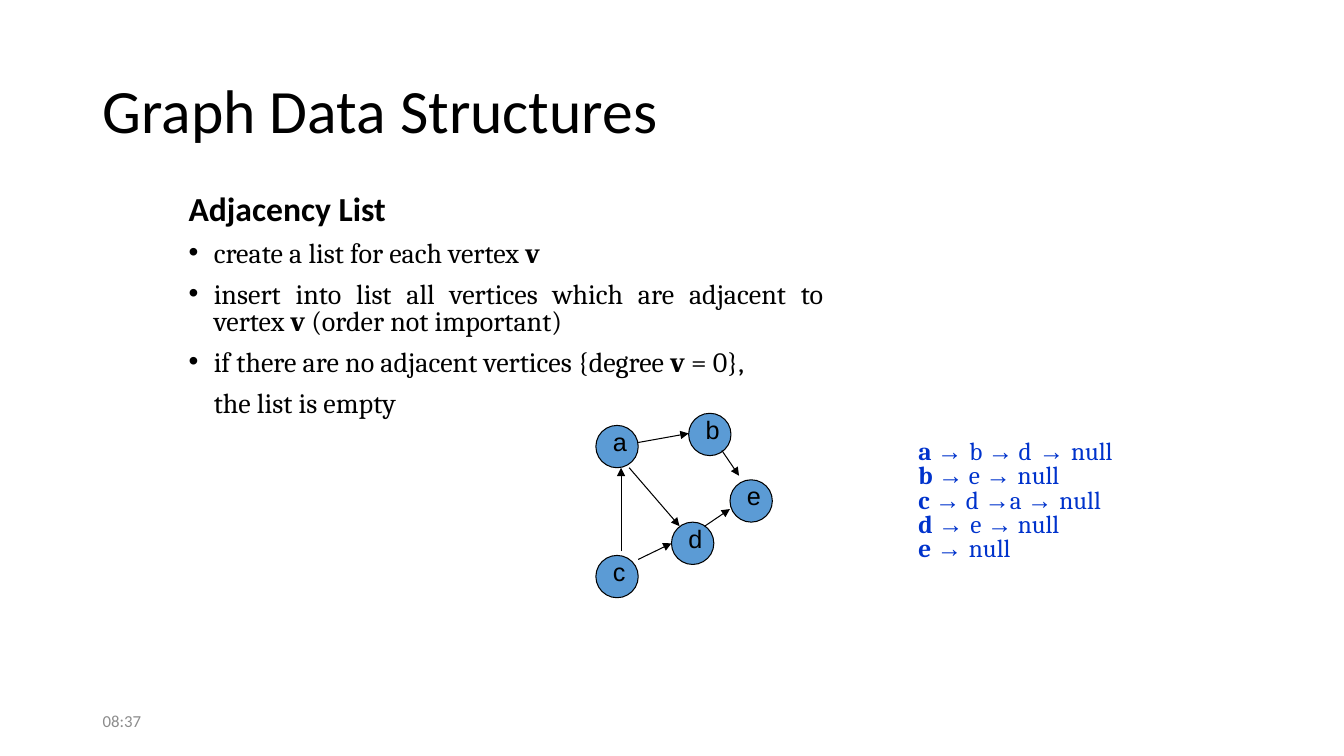
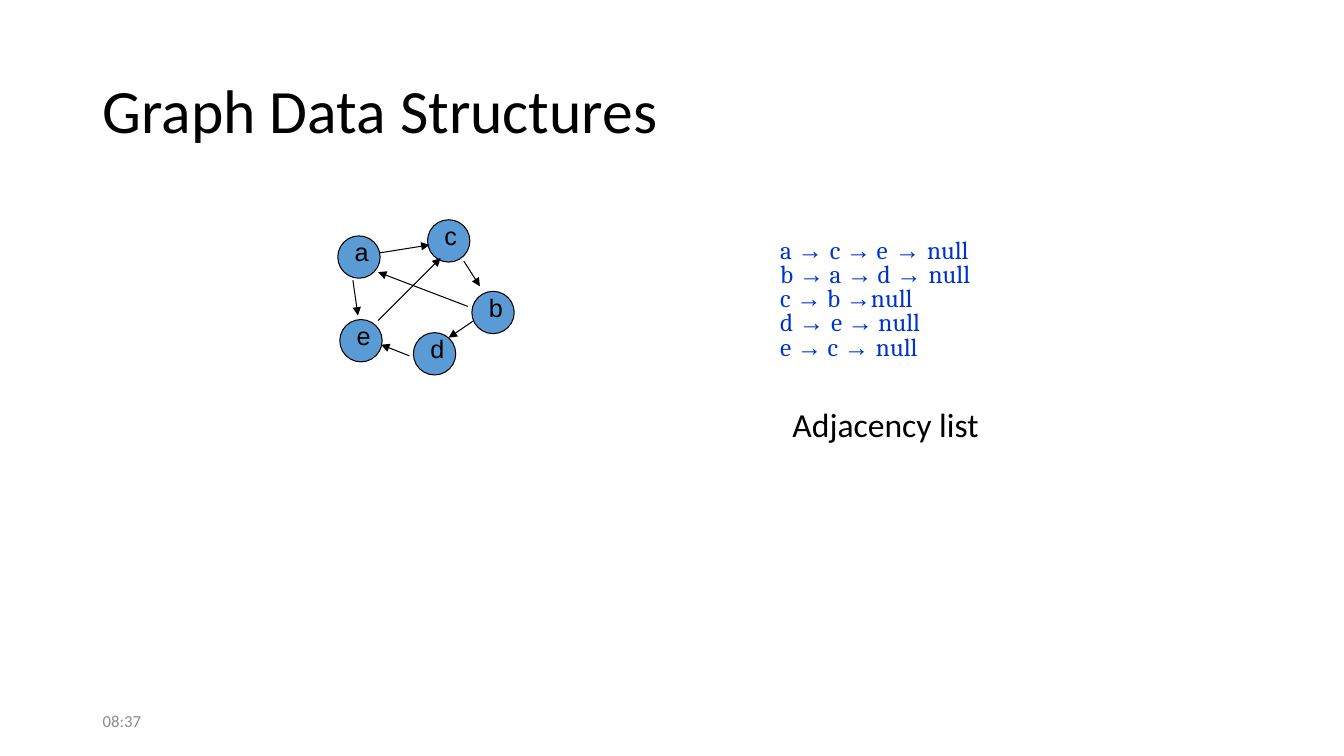
from lxml import etree
from pptx import Presentation
from pptx.dml.color import RGBColor
from pptx.enum.shapes import MSO_CONNECTOR, MSO_SHAPE
from pptx.enum.text import MSO_ANCHOR, MSO_AUTO_SIZE, PP_ALIGN
from pptx.oxml.ns import qn
from pptx.util import Inches, Pt

# Shared look
COLORS = {"text": "000000", "node": "5B9BD5", "list": "0033CC", "footer": "8C8C8C"}
TITLE = {"name": "Calibri", "size": Pt(44), "color": "text"}
HEADING = {"name": "Calibri", "size": Pt(24), "color": "text"}
BODY = {"name": "Cambria", "size": Pt(20), "color": "text"}
LABEL = {"name": "Arial", "size": Pt(18), "color": "text"}
LIST = {"name": "Cambria", "size": Pt(18), "color": "list"}
FOOTER = {"name": "Calibri", "size": Pt(12), "color": "footer"}
NODE_SIZE = 0.42

# Content: "|" separates runs, nodes give left and top, edges give start and end
BULLETS = [
    "create a list for each vertex |v",
    "insert into list all vertices which are adjacent to vertex |v| (order not important)",
    "if there are no adjacent vertices {degree |v| = 0}, ",
]
FIRST_NODES = {"a": (5.91, 4.22), "b": (6.83, 4.1), "c": (5.91, 5.51),
               "e": (7.24, 4.76), "d": (6.66, 5.18)}
FIRST_EDGES = [
    ((6.33, 4.39), (6.83, 4.3)), ((6.24, 4.64), (6.74, 5.22)),
    ((6.16, 5.47), (6.16, 4.64)), ((7.16, 4.47), (7.33, 4.72)),
    ((6.33, 5.55), (6.66, 5.39)), ((6.99, 5.22), (7.24, 5.05)),
]
FIRST_LIST = ["a |→ |b |→| d| → |null", "b |→| e |→ |null", "c |→| d |→|a |→ |null",
              "d |→ |e |→| null", "e |→ |null"]
SECOND_NODES = {"a": (3.35, 2.34), "b": (4.68, 2.89), "c": (4.24, 2.18),
                "e": (3.37, 3.17), "d": (4.1, 3.3)}
SECOND_EDGES = [
    ((3.76, 2.51), (4.26, 2.43)), ((4.64, 3.04), (3.75, 2.7)),
    ((3.75, 3.18), (4.37, 2.56)), ((4.6, 2.59), (4.76, 2.84)),
    ((4.06, 3.53), (3.78, 3.42)), ((4.7, 3.18), (4.45, 3.35)),
    ((3.5, 2.78), (3.55, 3.13)),
]
SECOND_LIST = ["a |→ |c |→| e| → |null", "b |→| a |→| d |→ |null", "c |→| b |→|null",
               "d |→ |e |→| null", "e |→| c |→ |null"]


def add_run(paragraph, text, style, **changes):
    run = paragraph.add_run()
    run.text = text
    values = {"bold": False, **style, **changes}
    run.font.color.rgb = RGBColor.from_string(COLORS[values.pop("color")])
    for name, value in values.items():
        setattr(run.font, name, value)


def format_paragraph(paragraph, **values):
    for name, value in values.items():
        setattr(paragraph, name, value)


def next_paragraph(frame, index):
    return frame.add_paragraph() if index else frame.paragraphs[0]


def set_indent(paragraph, first_line, bullet=None):
    """Indent the text by a quarter inch, with or without a bullet."""
    properties = paragraph._p.get_or_add_pPr()
    properties.set("marL", str(Inches(0.25)))
    properties.set("indent", str(Inches(first_line)))
    if bullet:
        etree.SubElement(properties, qn("a:buChar")).set("char", bullet)
    else:
        etree.SubElement(properties, qn("a:buNone"))


def place(shape, left, top, width, height):
    for name, value in zip(("left", "top", "width", "height"), (left, top, width, height)):
        setattr(shape, name, Inches(value))


def add_text_box(shapes, left, top, width, height):
    shape = shapes.add_textbox(*map(Inches, (left, top, width, height)))
    shape.text_frame.word_wrap = True
    return shape.text_frame


def add_base_slide(presentation):
    """Add a slide with the shared title and time."""
    slide = presentation.slides.add_slide(presentation.slide_layouts[1])
    title = slide.shapes.title
    place(title, 0.92, 0.4, 11.5, 1.45)
    title.text_frame.auto_size = MSO_AUTO_SIZE.NONE
    title.text_frame.vertical_anchor = MSO_ANCHOR.MIDDLE
    paragraph = title.text_frame.paragraphs[0]
    format_paragraph(paragraph, alignment=PP_ALIGN.LEFT, line_spacing=0.9)
    add_run(paragraph, "Graph Data Structures", TITLE)
    footer = add_text_box(slide.shapes, 0.92, 6.95, 3, 0.4)
    footer.vertical_anchor = MSO_ANCHOR.MIDDLE
    add_run(footer.paragraphs[0], "08:37", FOOTER)
    return slide


def add_body(slide, position, heading, bold):
    """Fill the body placeholder with a heading and return its text frame."""
    body = slide.placeholders[1]
    place(body, *position)
    frame = body.text_frame
    frame.auto_size = MSO_AUTO_SIZE.NONE
    paragraph = frame.paragraphs[0]
    format_paragraph(paragraph, line_spacing=0.8, space_before=Pt(0))
    set_indent(paragraph, -0.25)
    add_run(paragraph, heading, HEADING, bold=bold)
    return frame


def add_body_line(frame, markup, first_line, bullet=None):
    paragraph = frame.add_paragraph()
    format_paragraph(paragraph, alignment=PP_ALIGN.JUSTIFY, line_spacing=0.8,
                     space_before=Pt(10))
    set_indent(paragraph, first_line, bullet)
    for text in markup.split("|"):
        add_run(paragraph, text, BODY, bold=text == "v")


def add_node(slide, letter, left, top):
    """Add a circle grouped with its letter."""
    group = slide.shapes.add_group_shape()
    circle = group.shapes.add_shape(
        MSO_SHAPE.OVAL, *map(Inches, (left, top, NODE_SIZE, NODE_SIZE)))
    circle.shadow.inherit = False
    circle.fill.solid()
    circle.fill.fore_color.rgb = RGBColor.from_string(COLORS["node"])
    circle.line.color.rgb = RGBColor.from_string(COLORS["text"])
    circle.line.width = Pt(0.75)
    label = add_text_box(group.shapes, left + 0.07, top - 0.04, 0.34, 0.4)
    label.word_wrap = False
    add_run(label.paragraphs[0], letter, LABEL)


def add_arrow(slide, start, end):
    arrow = slide.shapes.add_connector(MSO_CONNECTOR.STRAIGHT, *map(Inches, start + end))
    arrow.line.color.rgb = RGBColor.from_string(COLORS["text"])
    arrow.line.width = Pt(0.75)
    etree.SubElement(arrow.line._get_or_add_ln(), qn("a:tailEnd")).set("type", "triangle")
    etree.SubElement(arrow._element.spPr, qn("a:effectLst"))


def add_graph(slide, nodes, edges):
    for letter, (left, top) in nodes.items():
        add_node(slide, letter, left, top)
    for start, end in edges:
        add_arrow(slide, start, end)


def add_adjacency_list(slide, left, top, rows, bold_vertex=False):
    frame = add_text_box(slide.shapes, left, top, 3.5, 1.31)
    for row_index, row in enumerate(rows):
        paragraph = next_paragraph(frame, row_index)
        format_paragraph(paragraph, line_spacing=0.8)
        for run_index, text in enumerate(row.split("|")):
            add_run(paragraph, text, LIST, name="Arial" if "→" in text else "Cambria",
                    bold=bold_vertex and run_index == 0)


def main():
    presentation = Presentation()
    presentation.slide_width = Inches(13.33)
    presentation.slide_height = Inches(7.5)

    # Definition with an example
    slide = add_base_slide(presentation)
    frame = add_body(slide, (1.77, 1.89, 6.5, 4.5), "Adjacency List", bold=True)
    for bullet in BULLETS:
        add_body_line(frame, bullet, -0.25, "•")
    add_body_line(frame, "the list is empty", 0)
    add_graph(slide, FIRST_NODES, FIRST_EDGES)
    add_adjacency_list(slide, 9.01, 4.33, FIRST_LIST, bold_vertex=True)

    # Second example
    slide = add_base_slide(presentation)
    add_body(slide, (7.76, 4.03, 2.18, 0.45), "Adjacency list", bold=False)
    add_graph(slide, SECOND_NODES, SECOND_EDGES)
    add_adjacency_list(slide, 7.64, 2.33, SECOND_LIST)

    presentation.save("out.pptx")


if __name__ == "__main__":
    main()
